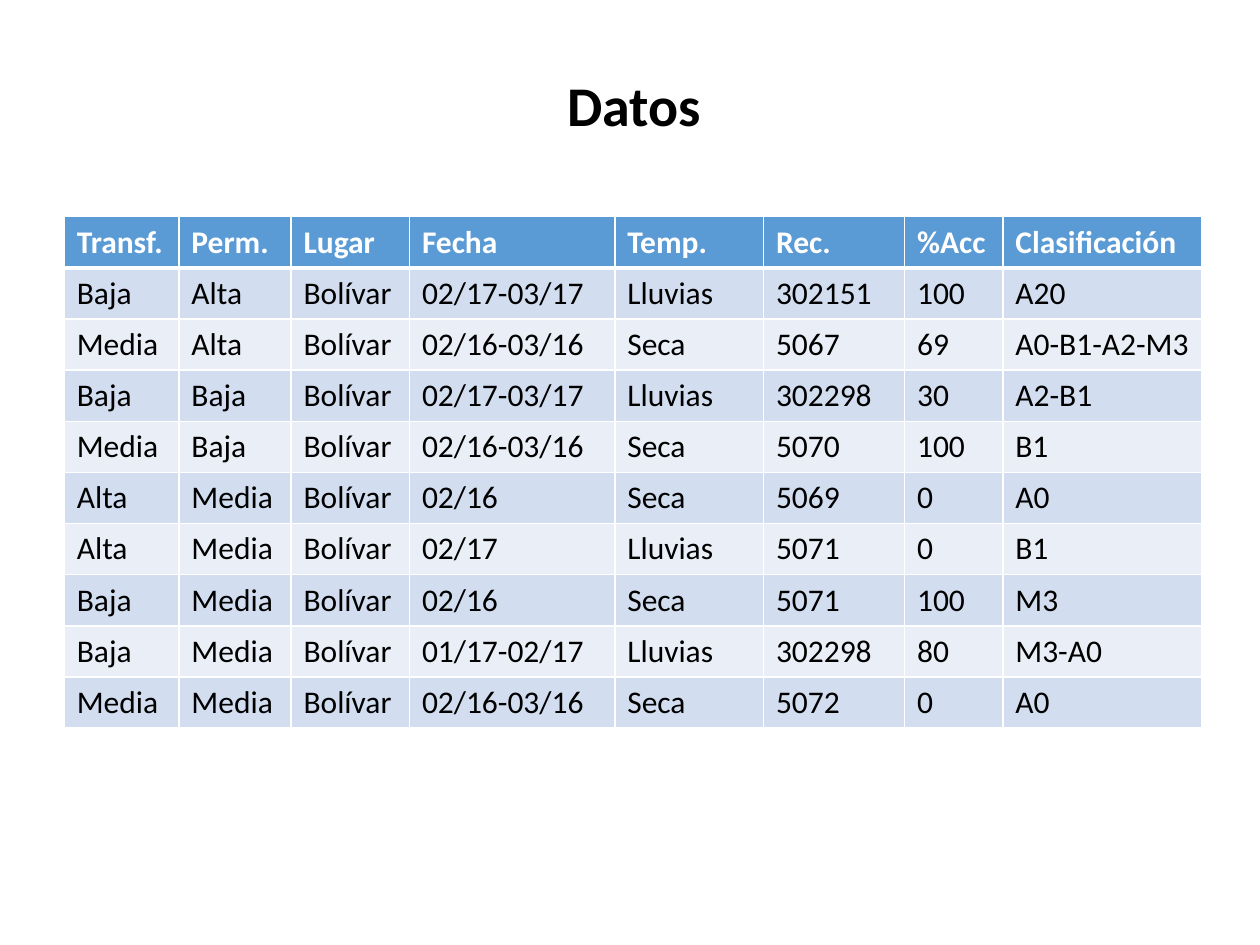
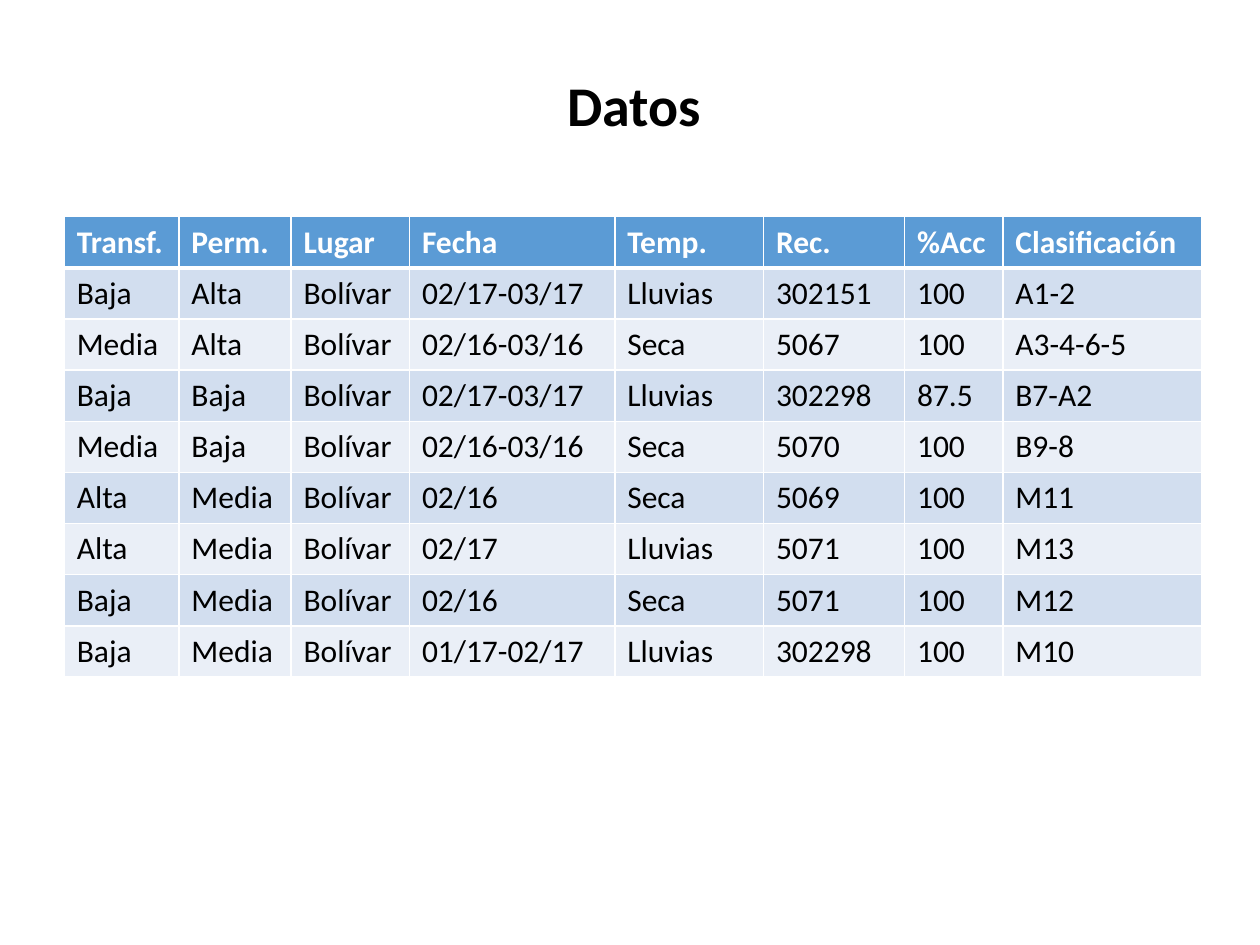
import pptx
import pptx.dml.color
import pptx.enum.text
import pptx.oxml.ns
import pptx.util
from lxml import etree
from pptx.util import Inches

WHITE = pptx.dml.color.RGBColor(0xFF, 0xFF, 0xFF)
BLACK = pptx.dml.color.RGBColor(0x00, 0x00, 0x00)
HEADER_BLUE = pptx.dml.color.RGBColor(0x5B, 0x9B, 0xD5)
BAND_DARK = pptx.dml.color.RGBColor(0xD2, 0xDE, 0xEF)
BAND_LIGHT = pptx.dml.color.RGBColor(0xEA, 0xEF, 0xF7)

TITLE_FORMAT = {"name": "Calibri", "size": pptx.util.Pt(32), "bold": True}
HEADER_FORMAT = {"name": "Calibri", "size": pptx.util.Pt(18), "bold": True}
BODY_FORMAT = {**HEADER_FORMAT, "bold": False}

COLUMN_WIDTHS = [0.91, 0.89, 0.94, 1.63, 1.18, 1.12, 0.78, 1.58]
ROW_HEIGHT = Inches(4.06) // 10
THIN_BORDER = pptx.util.Pt(1)
THICK_BORDER = pptx.util.Pt(3)

HEADERS = ["Transf.", "Perm.", "Lugar", "Fecha", "Temp.", "Rec.", "%Acc", "Clasificación"]
SAMPLES = [
    ("Baja", "Alta", "Bolívar", "02/17-03/17", "Lluvias", "302151"),
    ("Media", "Alta", "Bolívar", "02/16-03/16", "Seca", "5067"),
    ("Baja", "Baja", "Bolívar", "02/17-03/17", "Lluvias", "302298"),
    ("Media", "Baja", "Bolívar", "02/16-03/16", "Seca", "5070"),
    ("Alta", "Media", "Bolívar", "02/16", "Seca", "5069"),
    ("Alta", "Media", "Bolívar", "02/17", "Lluvias", "5071"),
    ("Baja", "Media", "Bolívar", "02/16", "Seca", "5071"),
    ("Baja", "Media", "Bolívar", "01/17-02/17", "Lluvias", "302298"),
    ("Media", "Media", "Bolívar", "02/16-03/16", "Seca", "5072"),
]
# Accuracy and classification of each sample, one list per slide
RESULTS_BY_SLIDE = [
    [
        ("100", "A20"), ("69", "A0-B1-A2-M3"), ("30", "A2-B1"),
        ("100", "B1"), ("0", "A0"), ("0", "B1"),
        ("100", "M3"), ("80", "M3-A0"), ("0", "A0"),
    ],
    [
        ("100", "A1-2"), ("100", "A3-4-6-5"), ("87.5", "B7-A2"),
        ("100", "B9-8"), ("100", "M11"), ("100", "M13"),
        ("100", "M12"), ("100", "M10"),
    ],
]


class SlideBuilder:
    def __init__(self, presentation):
        self.presentation = presentation
        self.slide = None

    def new_slide(self):
        blank_layout = self.presentation.slide_layouts[6]
        self.slide = self.presentation.slides.add_slide(blank_layout)
        background = self.slide.background.fill
        background.solid()
        background.fore_color.rgb = WHITE

    def add_text(self, paragraph, text, text_format, color):
        run = paragraph.add_run()
        run.text = text
        for attribute, value in text_format.items():
            setattr(run.font, attribute, value)
        run.font.color.rgb = color

    def add_title(self, text):
        shape = self.slide.shapes.add_textbox(
            Inches(2.49), Inches(0.51), Inches(5.09), Inches(0.64))
        frame = shape.text_frame
        frame.word_wrap = True
        frame.auto_size = pptx.enum.text.MSO_AUTO_SIZE.SHAPE_TO_FIT_TEXT
        paragraph = frame.paragraphs[0]
        paragraph.alignment = pptx.enum.text.PP_ALIGN.CENTER
        self.add_text(paragraph, text, TITLE_FORMAT, BLACK)

    def add_border(self, cell, side, width):
        properties = cell._tc.get_or_add_tcPr()
        line = etree.SubElement(
            properties, pptx.oxml.ns.qn(f"a:ln{side}"), w=str(int(width)))
        fill = etree.SubElement(line, pptx.oxml.ns.qn("a:solidFill"))
        etree.SubElement(fill, pptx.oxml.ns.qn("a:srgbClr"), val=str(WHITE))

    def style_cell(self, cell, row_index):
        """Draw the borders first, since the schema puts them before the fill."""
        top = THICK_BORDER if row_index == 1 else THIN_BORDER
        bottom = THICK_BORDER if row_index == 0 else THIN_BORDER
        borders = {"L": THIN_BORDER, "R": THIN_BORDER, "T": top, "B": bottom}
        for side, width in borders.items():
            self.add_border(cell, side, width)
        band = BAND_DARK if row_index % 2 else BAND_LIGHT
        cell.fill.solid()
        cell.fill.fore_color.rgb = HEADER_BLUE if row_index == 0 else band

    def add_data_table(self, rows):
        table = self.slide.shapes.add_table(
            len(rows), len(COLUMN_WIDTHS), Inches(0.51), Inches(1.72),
            Inches(sum(COLUMN_WIDTHS)), ROW_HEIGHT * len(rows)).table
        for column, width in zip(table.columns, COLUMN_WIDTHS):
            column.width = Inches(width)
        for row_index, values in enumerate(rows):
            table.rows[row_index].height = ROW_HEIGHT
            text_format, color = (
                (BODY_FORMAT, BLACK) if row_index else (HEADER_FORMAT, WHITE))
            for column_index, text in enumerate(values):
                cell = table.cell(row_index, column_index)
                self.style_cell(cell, row_index)
                self.add_text(cell.text_frame.paragraphs[0], text, text_format, color)


def main():
    presentation = pptx.Presentation()
    presentation.slide_width = Inches(10)
    presentation.slide_height = Inches(7.5)
    builder = SlideBuilder(presentation)
    for results in RESULTS_BY_SLIDE:
        builder.new_slide()
        builder.add_title("Datos")
        data_rows = [sample + result for sample, result in zip(SAMPLES, results)]
        builder.add_data_table([HEADERS] + data_rows)
    presentation.save("out.pptx")


if __name__ == "__main__":
    main()
